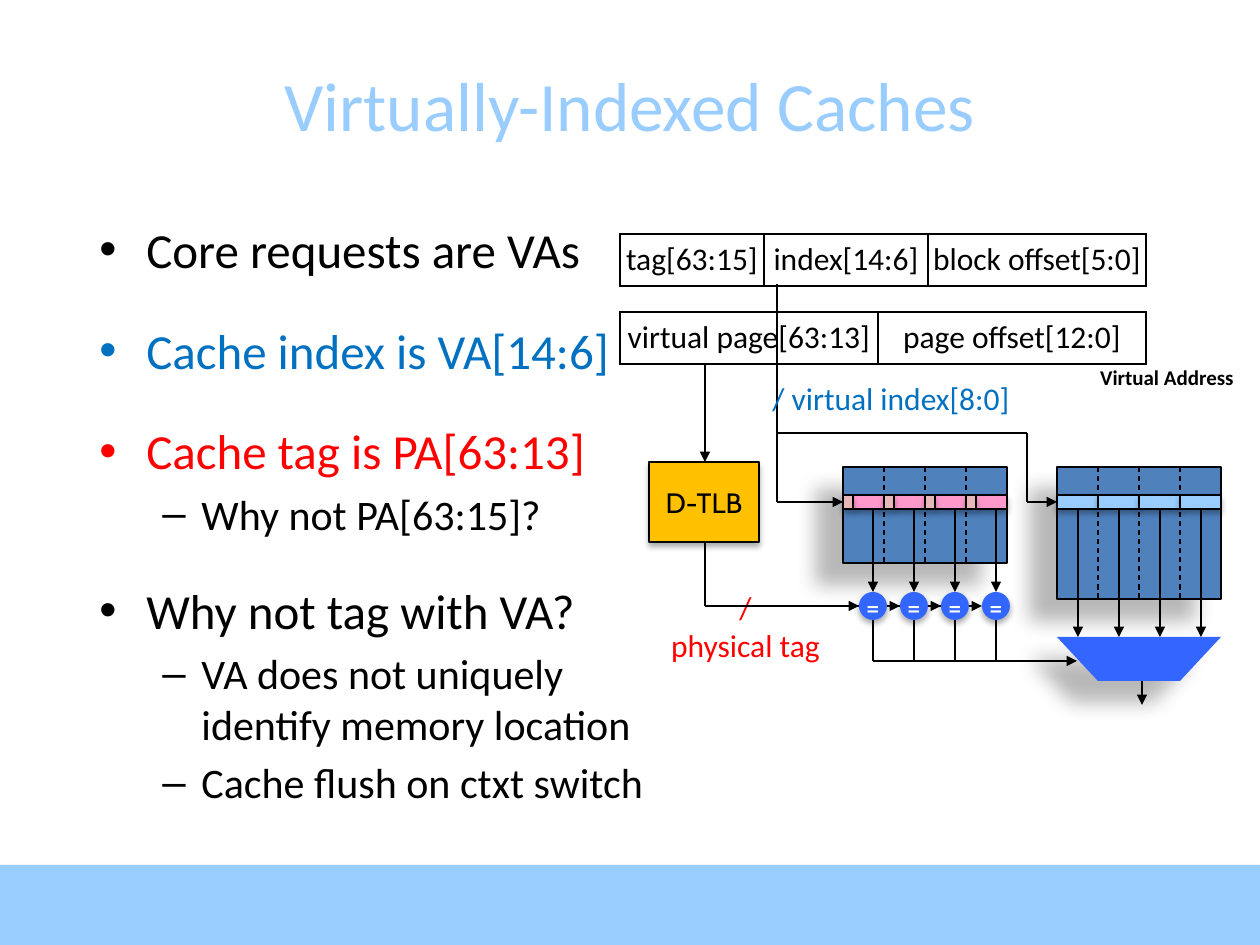
from lxml.etree import SubElement
from pptx import Presentation
from pptx.dml.color import RGBColor
from pptx.enum.dml import MSO_LINE
from pptx.enum.shapes import MSO_CONNECTOR, MSO_SHAPE
from pptx.enum.text import MSO_ANCHOR, PP_ALIGN
from pptx.oxml.ns import qn
from pptx.util import Pt

SCALE = 914400 / 126
COLORS = {
    "black": "000000", "white": "FFFFFF", "sky": "99CCFF", "blue": "0070C0",
    "red": "FF0000", "steel": "4F81BD", "pink": "FF99CC", "rose": "E6B9B8",
    "royal": "3366FF", "amber": "FFC000",
}
SOFT = (32, 3.5, 2.2, 90)
DEEP = (28, 11.8, 19.7, 141)
FOOTER = (35, 3.1, 1.8, 90)
WAYS = 4
WAY_WIDTH = 41
LINE_TOP = 28
LINE_HEIGHT = 14


def emu(*pixels):
    """Turn pixel lengths into EMU."""
    return [round(pixel * SCALE) for pixel in pixels]


def rgb(name):
    """Look up a named colour."""
    return RGBColor.from_string(COLORS[name])


def style(para, size, color="black", font="Calibri", bold=False, align=PP_ALIGN.CENTER):
    """Format a paragraph and its runs."""
    para.alignment = align
    for span in para.runs:
        span.font.size, span.font.name, span.font.bold = Pt(size), font, bold
        span.font.color.rgb = rgb(color)


def add_shadow(shape, shadow):
    """Give a shape an outer shadow of opacity, blur, distance and angle."""
    opacity, blur, distance, angle = shadow
    shape.shadow.inherit = False
    effects = shape._element.spPr.find(qn("a:effectLst"))
    outer = SubElement(effects, qn("a:outerShdw"), blurRad=str(Pt(blur)), dist=str(Pt(distance)),
                       dir=str(angle * 60000), algn="ctr", rotWithShape="0")
    color = SubElement(outer, qn("a:srgbClr"), val=COLORS["black"])
    SubElement(color, qn("a:alpha"), val=str(opacity * 1000))


def paint(shape, fill, shadow, outlined):
    """Set fill, outline and shadow of a shape."""
    shape.fill.solid()
    shape.fill.fore_color.rgb = rgb(fill)
    if outlined:
        shape.line.color.rgb = rgb("black")
        shape.line.width = Pt(0.75)
    else:
        shape.line.fill.background()
    add_shadow(shape, shadow)


def add_block(page, box, fill, shadow=SOFT, outlined=True, kind=MSO_SHAPE.RECTANGLE, label=""):
    """Add a filled shape with an optional label."""
    shape = page.shapes.add_shape(kind, *emu(*box))
    paint(shape, fill, shadow, outlined)
    if label:
        frame = shape.text_frame
        frame.text = label
        frame.word_wrap = False
        frame.vertical_anchor = MSO_ANCHOR.MIDDLE
        frame.margin_left = frame.margin_right = 0
        style(frame.paragraphs[0], 16, "black" if outlined else "white", "Cabin")


def add_wire(page, *points, arrow=False, dashed=False):
    """Join points with straight lines, the last of which may end in an arrow."""
    for start, end in zip(points, points[1:]):
        wire = page.shapes.add_connector(MSO_CONNECTOR.STRAIGHT, *emu(*start, *end))
        wire.line.color.rgb = rgb("black")
        wire.line.width = Pt(0.75)
        if dashed:
            wire.line.dash_style = MSO_LINE.DASH
        if arrow and end == points[-1]:
            SubElement(wire.line._get_or_add_ln(), qn("a:tailEnd"), type="triangle")
        SubElement(wire._element.spPr, qn("a:effectLst"))


def add_label(page, box, text, size, color="black", bold=False, align=PP_ALIGN.CENTER):
    """Add a wrapped text box."""
    frame = page.shapes.add_textbox(*emu(*box)).text_frame
    frame.word_wrap = True
    frame.text = text
    for para in frame.paragraphs:
        style(para, size, color, bold=bold, align=align)
    return frame


def add_bullets(page, box, items):
    """Add the two-level bullet list."""
    frame = add_label(page, box, "\n".join(text for text, level, color in items), 28)
    for para, (text, level, color) in zip(frame.paragraphs, items):
        indent, hang, size, gap, mark = ((47, 47, 28, 24, "•"), (102, 39, 24, 4.8, "–"))[level]
        style(para, size, color, align=PP_ALIGN.LEFT)
        para.level = level
        para.space_before = Pt(gap)
        properties = para._p.get_or_add_pPr()
        properties.set("marL", str(emu(indent)[0]))
        properties.set("indent", str(-emu(hang)[0]))
        SubElement(properties, qn("a:buFont"), typeface="Arial")
        SubElement(properties, qn("a:buChar"), char=mark)


def add_address(page, left, top, fields):
    """Add a one-row table of address fields."""
    width = sum(field_width for text, field_width in fields)
    table = page.shapes.add_table(1, len(fields), *emu(left, top, width, 52)).table
    table.first_row = table.horz_banding = False
    for index, (text, field_width) in enumerate(fields):
        table.columns[index].width = emu(field_width)[0]
        cell = table.cell(0, index)
        cell.text = text
        cell.margin_left = cell.margin_right = 0
        style(cell.text_frame.paragraphs[0], 18)
        properties = cell._tc.get_or_add_tcPr()
        for side in ("lnL", "lnR", "lnT", "lnB"):
            border = SubElement(properties, qn(f"a:{side}"), w=str(Pt(1)))
            SubElement(SubElement(border, qn("a:solidFill")), qn("a:srgbClr"), val=COLORS["black"])
        cell.fill.background()


def add_array(page, left, top, height, parts):
    """Add a memory array with its ways and the selected line."""
    add_block(page, (left, top, WAYS * WAY_WIDTH, height), "steel", DEEP)
    for way in range(1, WAYS):
        x = left + way * WAY_WIDTH
        add_wire(page, (x, top), (x, top + height), dashed=True)
    for offset, width, fill in parts:
        for way in range(WAYS):
            x = left + way * WAY_WIDTH + offset
            add_block(page, (x, top + LINE_TOP, width, LINE_HEIGHT), fill)


def add_mux(page, left, top, width, height):
    """Add the output multiplexer."""
    builder = page.shapes.build_freeform(left, top, scale=SCALE)
    bottom = top + height
    builder.add_line_segments([(left + WAY_WIDTH, bottom), (left + width - WAY_WIDTH, bottom),
                               (left + width, top)], close=True)
    paint(builder.convert_to_shape(), "royal", DEEP, False)


def add_cache(page, left, top):
    """Add the cache diagram below the address tables."""
    def at(x, y):
        return left + x, top + y

    add_wire(page, at(522, 425), at(522, 471), arrow=True)
    add_wire(page, at(85, 129), at(85, 228), arrow=True)
    add_wire(page, at(85, 308), at(85, 372))
    add_wire(page, at(157, 50), at(157, 199))
    add_label(page, (*at(140, 139), 359, 50), "/ virtual index[8:0]", 18, "blue", align=PP_ALIGN.LEFT)
    add_array(page, *at(223, 233), 96, [(10, 31, "pink"), (0, 10, "rose")])
    add_array(page, *at(437, 233), 132, [(0, WAY_WIDTH, "sky")])
    add_wire(page, at(157, 199), at(407, 199), at(407, 268), at(437, 268), arrow=True)
    add_wire(page, at(157, 199), at(157, 268), at(223, 268), arrow=True)
    add_mux(page, *at(437, 403), 164, 44)
    add_block(page, (*at(29, 228), 110, 80), "amber", label="D-TLB")
    add_label(page, (*at(10, 348), 231, 89), "/\nphysical tag", 18, "red")
    for way in range(WAYS):
        shift = way * WAY_WIDTH
        add_wire(page, at(253 + shift, 276), at(253 + shift, 358), arrow=True)
        add_wire(page, at(458 + shift, 276), at(458 + shift, 403), arrow=True)
        add_wire(page, at(85 + shift, 372), at(239 + shift, 372), arrow=True)
        add_wire(page, at(253 + shift, 386), at(253 + shift, 427))
    for way in range(WAYS):
        add_block(page, (*at(239 + way * WAY_WIDTH, 358), 28, 28), "royal",
                  outlined=False, kind=MSO_SHAPE.OVAL, label="=")
    add_wire(page, at(253, 427), at(457, 427), arrow=True)


def build():
    """Build and save the slide."""
    deck = Presentation()
    deck.slide_width, deck.slide_height = emu(1260, 945)
    page = deck.slides.add_slide(deck.slide_layouts[6])
    add_block(page, (0, 865, 1260, 80), "sky", FOOTER, outlined=False)
    title = add_label(page, (87, 55, 1086, 97), "Virtually-Indexed Caches", 39.6, "sky")
    title.vertical_anchor = MSO_ANCHOR.MIDDLE
    add_bullets(page, (87, 213, 575, 639), [
        ("Core requests are VAs", 0, "black"),
        ("Cache index is VA[14:6]", 0, "blue"),
        ("Cache tag is PA[63:13]", 0, "red"),
        ("Why not PA[63:15]?", 1, "black"),
        ("Why not tag with VA?", 0, "black"),
        ("VA does not uniquely identify memory location", 1, "black"),
        ("Cache flush on ctxt switch", 1, "black"),
    ])
    add_address(page, 620, 234, [("tag[63:15]", 144), ("index[14:6]", 164), ("block offset[5:0]", 218)])
    add_address(page, 620, 312, [("virtual page[63:13]", 258), ("page offset[12:0]", 268)])
    add_cache(page, 620, 234)
    add_label(page, (1074, 358, 186, 38), "Virtual Address", 12, bold=True)
    deck.save("out.pptx")


build()
